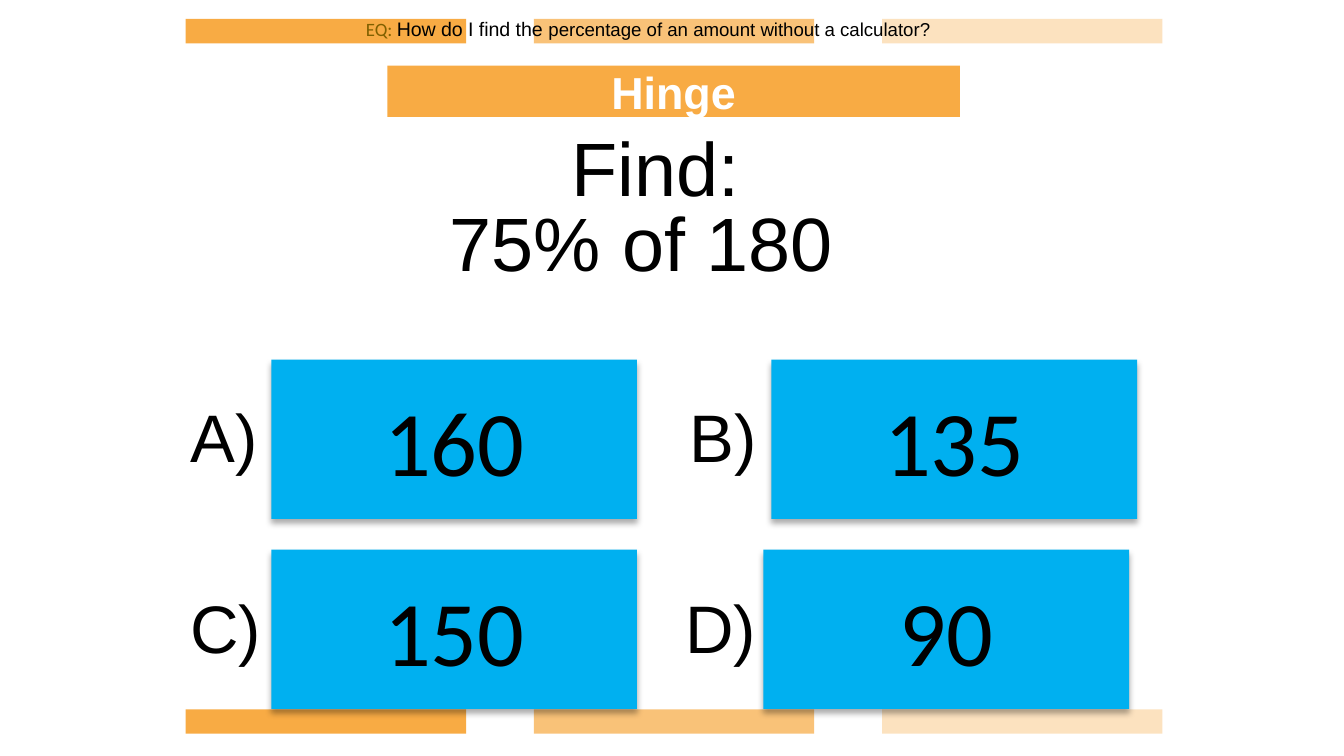
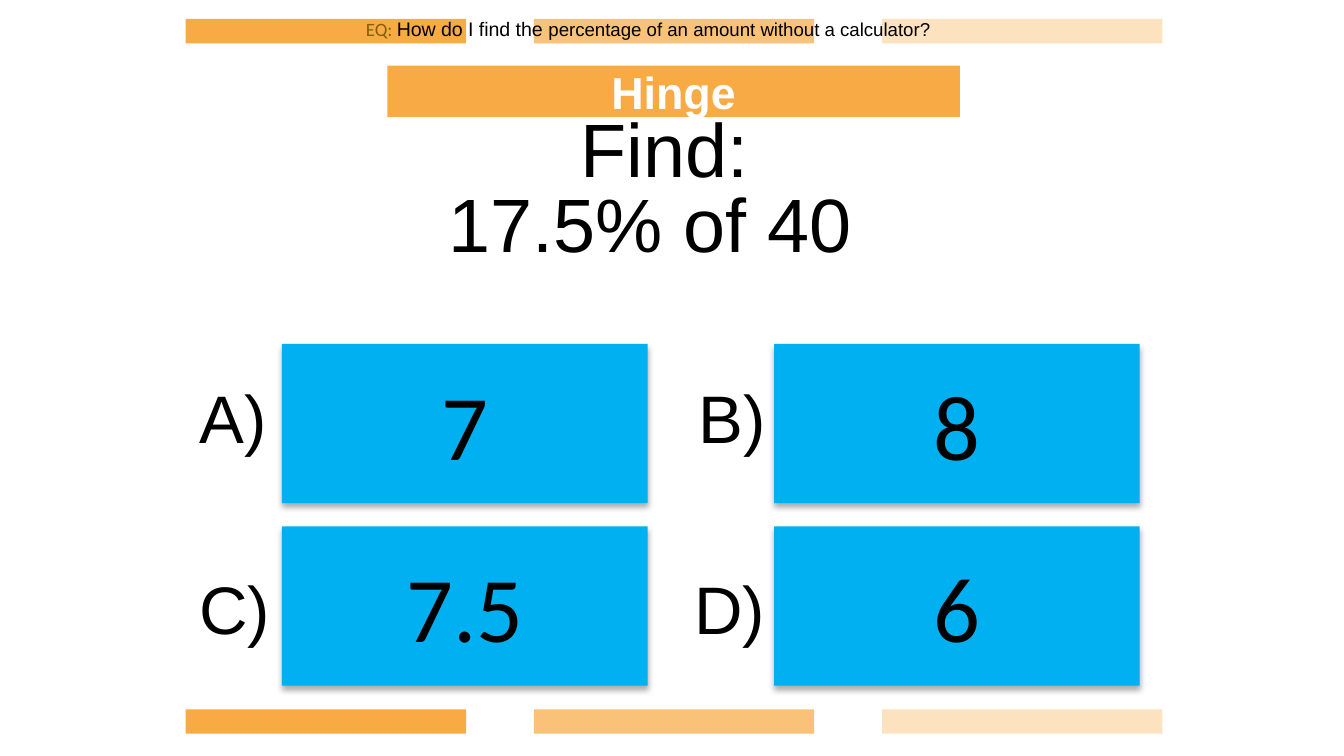
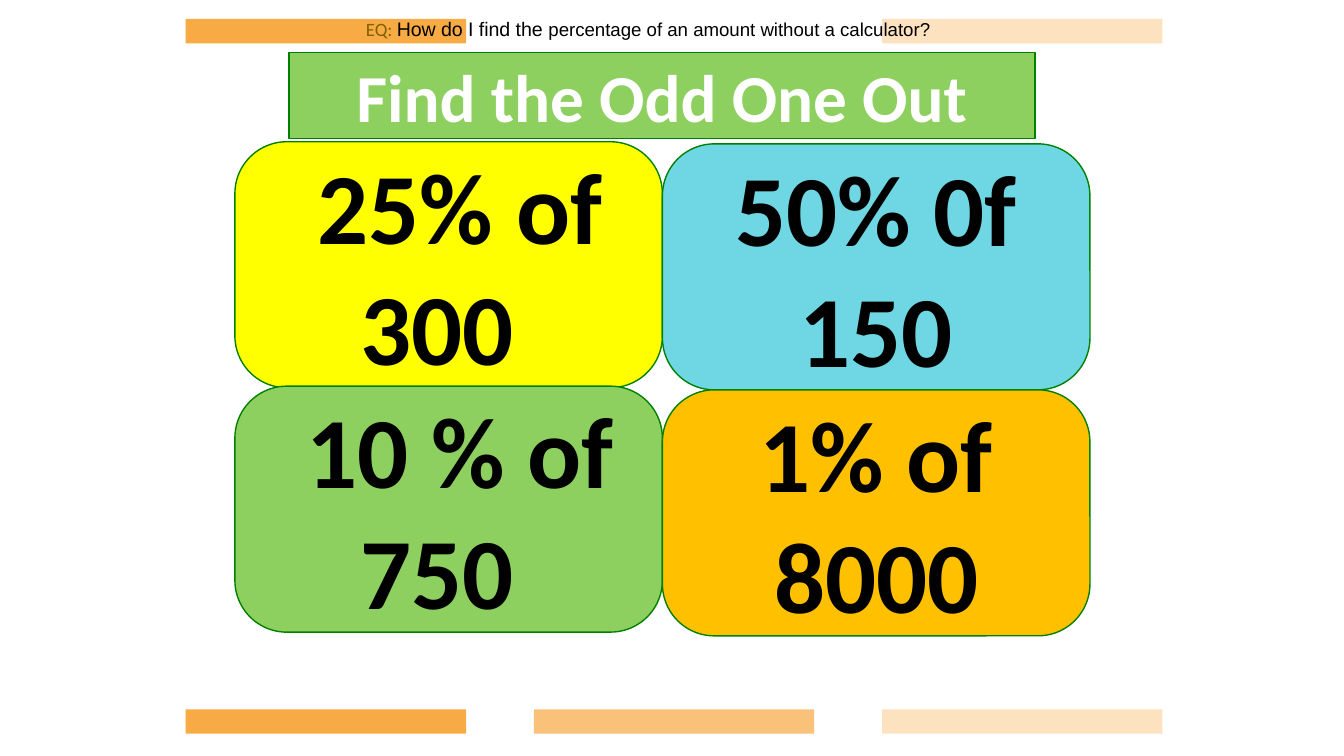
"""Build three percentage quiz slides: two hinge questions and an odd one out."""
from pptx import Presentation
from pptx.dml.color import RGBColor
from pptx.enum.shapes import MSO_SHAPE
from pptx.enum.text import MSO_ANCHOR, MSO_AUTO_SIZE, PP_ALIGN
from pptx.oxml import parse_xml
from pptx.oxml.ns import nsdecls
from pptx.util import Cm, Pt

RECTANGLE, ROUNDED = MSO_SHAPE.RECTANGLE, MSO_SHAPE.ROUNDED_RECTANGLE
TOP, MIDDLE = MSO_ANCHOR.TOP, MSO_ANCHOR.MIDDLE
CENTER, LEFT = PP_ALIGN.CENTER, PP_ALIGN.LEFT
FIXED, GROW = MSO_AUTO_SIZE.NONE, MSO_AUTO_SIZE.SHAPE_TO_FIT_TEXT

ORANGE = RGBColor(0xF8, 0xAB, 0x44)
BLUE = RGBColor(0x00, 0xB0, 0xF0)
GREEN = RGBColor(0x8E, 0xD0, 0x5F)
DARK_GREEN = RGBColor(0x00, 0x80, 0x00)
YELLOW = RGBColor(0xFF, 0xFF, 0x00)
TURQUOISE = RGBColor(0x6F, 0xD7, 0xE4)
AMBER = RGBColor(0xFF, 0xC0, 0x00)
BROWN = RGBColor(0x80, 0x60, 0x00)
WHITE = RGBColor(0xFF, 0xFF, 0xFF)
BLACK = RGBColor(0x00, 0x00, 0x00)

BODY_FONT, NUMBER_FONT = "Arial", "Calibri"
CORNER = 0.211
BAND_OPACITIES = (100, 72, 34)
ESSENTIAL_QUESTION = (
    ("EQ: ", 10.1, NUMBER_FONT, BROWN),
    ("How do I find the ", 10.5, BODY_FONT, BLACK),
    ("percentage of an amount without a calculator?", 10, BODY_FONT, BLACK),
)


class QuizDeck:
    """Hold the deck's style and the slide being filled."""

    def __init__(self):
        self.deck = Presentation()
        self.deck.slide_width, self.deck.slide_height = Cm(25.4), Cm(14.29)
        self.slide = None

    def start_slide(self):
        self.slide = self.deck.slides.add_slide(self.deck.slide_layouts[5])

    def style_run(self, run, size, font, color, bold=False):
        run.font.size, run.font.name = Pt(size), font
        run.font.color.rgb, run.font.bold = color, bold

    def set_text(self, shape, text, size, font, color, bold=False, align=CENTER):
        frame = shape.text_frame
        frame.text = text
        frame.auto_size, frame.word_wrap = FIXED, True
        frame.vertical_anchor = MIDDLE
        frame.paragraphs[0].alignment = align
        self.style_run(frame.paragraphs[0].runs[0], size, font, color, bold)
        return frame

    def paint(self, shape, fill, outlined=False):
        shape.shadow.inherit = False
        shape.fill.solid()
        shape.fill.fore_color.rgb = fill
        if outlined:
            shape.line.color.rgb, shape.line.width = DARK_GREEN, Pt(0.75)
        else:
            shape.line.fill.background()

    def tighten(self, frame):
        frame.margin_left = frame.margin_right = Cm(0.18)
        frame.margin_top = frame.margin_bottom = Cm(0.1)

    def shape(self, kind, left, top, width, height, fill, outlined=False):
        shape = self.slide.shapes.add_shape(kind, Cm(left), Cm(top), Cm(width), Cm(height))
        self.paint(shape, fill, outlined)
        return shape

    def title(self, text, left, top, width, height, fill, size, font, outlined=False):
        title = self.slide.shapes.title
        title.left, title.top = Cm(left), Cm(top)
        title.width, title.height = Cm(width), Cm(height)
        title._element.spPr.append(parse_xml(
            f'<a:prstGeom {nsdecls("a")} prst="roundRect"><a:avLst/></a:prstGeom>'))
        title.adjustments[0] = CORNER
        self.paint(title, fill, outlined)
        frame = self.set_text(title, text, size, font, WHITE, bold=True)
        if outlined:
            self.tighten(frame)

    def bands(self, top, columns=(0, 1, 2)):
        for column in columns:
            band = self.shape(RECTANGLE, 3.51 + 6.58 * column, top, 5.3, 0.46, ORANGE)
            color = band._element.spPr.find(".//{*}srgbClr")
            color.append(parse_xml(
                f'<a:alpha {nsdecls("a")} val="{BAND_OPACITIES[column] * 1000}"/>'))

    def essential_question(self):
        box = self.slide.shapes.add_textbox(Cm(6.35), Cm(0.2), Cm(11.79), Cm(1.14))
        frame = box.text_frame
        frame.word_wrap, frame.auto_size = True, GROW
        paragraph = frame.paragraphs[0]
        paragraph.alignment = CENTER
        for text, size, font, color in ESSENTIAL_QUESTION:
            run = paragraph.add_run()
            run.text = text
            self.style_run(run, size, font, color)

    def prompt(self, text, left, top):
        box = self.slide.shapes.add_textbox(Cm(left), Cm(top), Cm(16.2), Cm(3.07))
        self.set_text(box, text, 40.5, BODY_FONT, BLACK)

    def letter(self, text, left, top, width):
        box = self.slide.shapes.add_textbox(Cm(left), Cm(top), Cm(width), Cm(1.8))
        frame = self.set_text(box, text, 36, BODY_FONT, BLACK, align=LEFT)
        frame.word_wrap, frame.auto_size = False, GROW
        frame.vertical_anchor = TOP

    def answer(self, text, left, top):
        card = self.shape(RECTANGLE, left, top, 6.91, 3.01, BLUE)
        card._element.spPr.find("{*}effectLst").append(parse_xml(
            f'<a:outerShdw {nsdecls("a")} blurRad="{Pt(3.5)}" dist="{Pt(2.2)}" '
            'dir="5400000" rotWithShape="0"><a:srgbClr val="000000">'
            '<a:alpha val="32000"/></a:srgbClr></a:outerShdw>'))
        self.set_text(card, text, 49.5, NUMBER_FONT, BLACK)

    def hinge(self, calculation, answers, positions, shift_x=0, shift_y=0):
        self.start_slide()
        self.bands(0.36)
        self.title("Hinge", 7.32, 1.24, 10.82, 0.97, ORANGE, 24, BODY_FONT)
        self.bands(13.41)
        letters = (("A)", 3.35, 0, 1.8), ("B)", 12.78, 0, 1.8),
                   ("C)", 3.35, 1, 1.85), ("D)", 12.7, 1, 1.85))
        for text, left, row, width in letters:
            self.letter(text, left + shift_x, 7.34 + 3.61 * row + shift_y, width)
        self.prompt("Find:", 4.29 + shift_x, 1.6 + shift_y)
        self.prompt(calculation, 4.22 + shift_x, 3.02 + shift_y)
        for text, (left, top) in zip(answers, positions):
            self.answer(text, left, top)
        self.essential_question()

    def odd_one_out(self, choices):
        self.start_slide()
        self.title("Find the Odd One Out", 5.46, 0.99, 14.1, 1.63, GREEN, 36,
                   NUMBER_FONT, outlined=True)
        for text, left, top, fill in choices:
            card = self.shape(ROUNDED, left, top, 8.08, 4.65, fill, outlined=True)
            card.adjustments[0] = CORNER
            self.tighten(self.set_text(card, text, 54, NUMBER_FONT, BLACK, bold=True))
        self.bands(0.36, columns=(0, 2))
        self.bands(13.41)
        self.essential_question()


def main():
    quiz = QuizDeck()
    quiz.hinge("75% of 180 ", ("160", "135", "150", "90"),
               ((5.13, 6.8), (14.58, 6.8), (5.13, 10.39), (14.43, 10.39)))
    quiz.hinge("17.5% of 40 ", ("7", "8", "7.5", "6"),
               ((5.33, 6.5), (14.63, 6.5), (5.33, 9.95), (14.63, 9.95)),
               shift_x=0.17, shift_y=-0.36)
    quiz.odd_one_out(((" 25% of 300 ", 4.44, 2.68, YELLOW),
                      (" 10 % of 750 ", 4.44, 7.3, GREEN),
                      ("50% 0f 150", 12.52, 2.72, TURQUOISE),
                      ("1% of 8000", 12.52, 7.37, AMBER)))
    quiz.deck.save("out.pptx")


if __name__ == "__main__":
    main()
